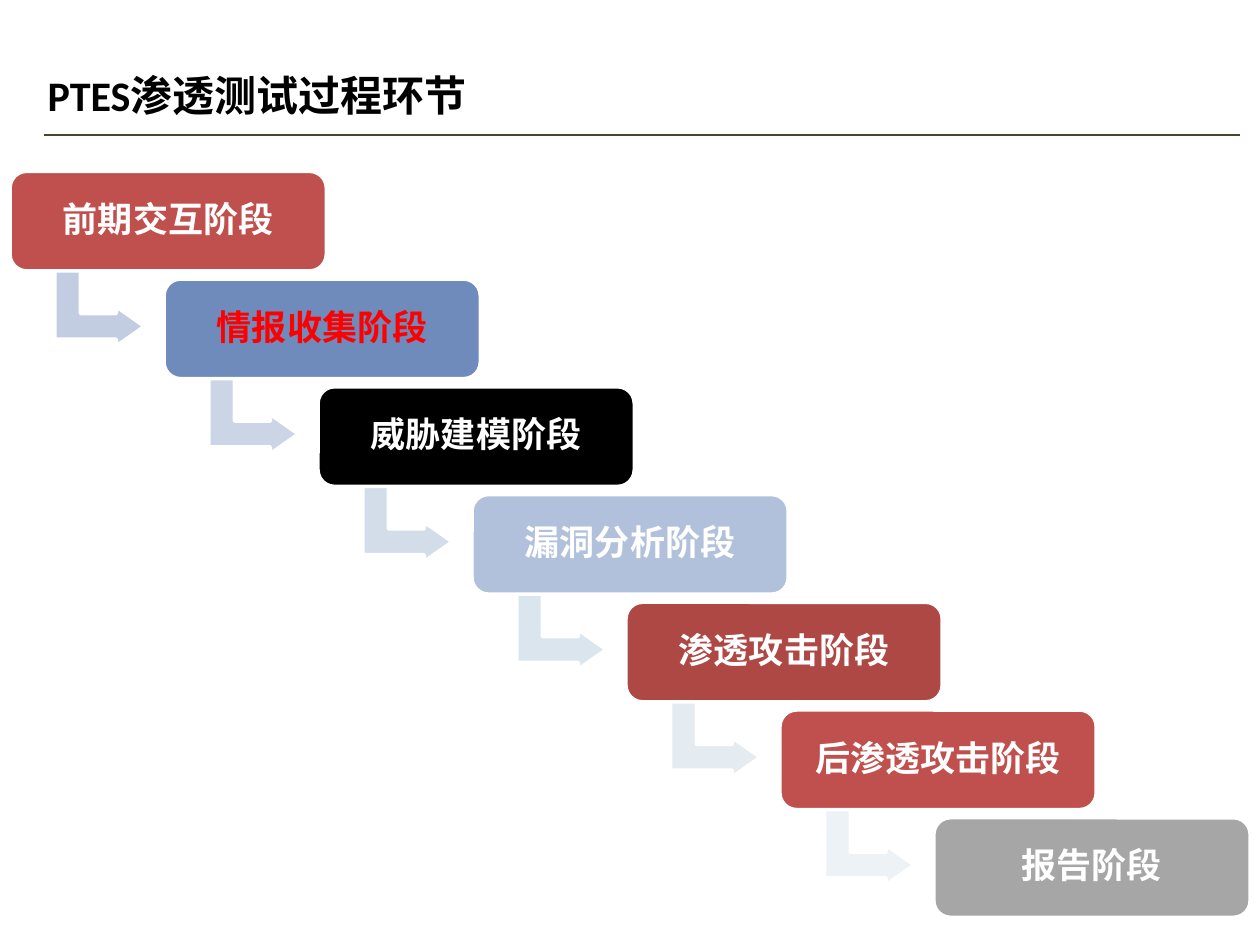
from dataclasses import dataclass

import pptx
import pptx.dml.color
import pptx.enum.shapes
import pptx.enum.text
import pptx.oxml.ns
import pptx.util
from lxml import etree

Inches = pptx.util.Inches
Pt = pptx.util.Pt
Shapes = pptx.enum.shapes.MSO_SHAPE
Align = pptx.enum.text.PP_ALIGN
Anchor = pptx.enum.text.MSO_ANCHOR

FIRST_LEFT, FIRST_TOP = 0.08, 1.36
STEP_X, STEP_Y = 1.222, 0.855
ARROW_OFFSET_X, ARROW_OFFSET_Y = 0.4, 0.72


@dataclass
class Stage:
    name: str
    fill: str
    arrow: str = ""
    text: str = "FFFFFF"


STAGES = [
    Stage("前期交互阶段", "C0504D", "C2CDE1"),
    Stage("情报收集阶段", "6E8BBB", "CBD5E5", "FF0000"),
    Stage("威胁建模阶段", "000000", "D3DDE9"),
    Stage("漏洞分析阶段", "B2C1DB", "DBE5ED"),
    Stage("渗透攻击阶段", "AE4845", "E4EBF1"),
    Stage("后渗透攻击阶段", "C0504D", "ECF2F5"),
    Stage("报告阶段", "A6A6A6"),
]


def colour(value: str) -> pptx.dml.color.RGBColor:
    return pptx.dml.color.RGBColor.from_string(value)


def paint(shape, fill: str) -> None:
    shape.shadow.inherit = False
    shape.fill.solid()
    shape.fill.fore_color.rgb = colour(fill)
    shape.line.color.rgb = colour("FFFFFF")
    shape.line.width = Pt(2)


def write(shape, text: str, size: int, text_colour: str, align):
    frame = shape.text_frame
    frame.text = text
    frame.word_wrap = True
    frame.vertical_anchor = Anchor.MIDDLE
    para = frame.paragraphs[0]
    para.alignment = align
    font = para.runs[0].font
    font.name = "Calibri"
    font.size = Pt(size)
    font.bold = True
    font.color.rgb = colour(text_colour)
    return frame


def draw_heading(page) -> None:
    rule = page.shapes.add_connector(
        pptx.enum.shapes.MSO_CONNECTOR.STRAIGHT,
        Inches(0.35), Inches(1.07), Inches(9.84), Inches(1.07))
    rule.line.color.rgb = colour("4A452A")
    rule.line.width = Pt(1)
    etree.SubElement(rule._element.spPr, pptx.oxml.ns.qn("a:effectLst"))
    box = page.shapes.add_textbox(Inches(0.28), Inches(0.29), Inches(9), Inches(0.93))
    write(box, "PTES渗透测试过程环节", 24, "000000", Align.LEFT)


def draw_arrow(page, left: float, top: float, fill: str) -> None:
    arrow = page.shapes.add_shape(
        Shapes.BENT_UP_ARROW, Inches(left), Inches(top), Inches(0.62), Inches(0.71))
    arrow.rotation = 90
    for index, value in enumerate((0.328, 0.25, 0.358)):
        arrow.adjustments[index] = value
    paint(arrow, fill)


def draw_stage(page, stage: Stage, index: int) -> None:
    left = FIRST_LEFT + index * STEP_X
    top = FIRST_TOP + index * STEP_Y
    if stage.arrow:
        draw_arrow(page, left + ARROW_OFFSET_X, top + ARROW_OFFSET_Y, stage.arrow)
    box = page.shapes.add_shape(
        Shapes.ROUNDED_RECTANGLE, Inches(left), Inches(top), Inches(2.51), Inches(0.79))
    paint(box, stage.fill)
    frame = write(box, stage.name, 20, stage.text, Align.CENTER)
    frame.margin_left = frame.margin_right = Inches(0.12)
    frame.margin_top = frame.margin_bottom = Inches(0.12)
    para = frame.paragraphs[0]
    para.line_spacing = 0.9
    para.space_after = Pt(7)


def main() -> None:
    deck = pptx.Presentation()
    deck.slide_width, deck.slide_height = Inches(10), Inches(7.5)
    page = deck.slides.add_slide(deck.slide_layouts[6])
    draw_heading(page)
    for index, stage in enumerate(STAGES):
        draw_stage(page, stage, index)
    deck.save("out.pptx")


if __name__ == "__main__":
    main()
